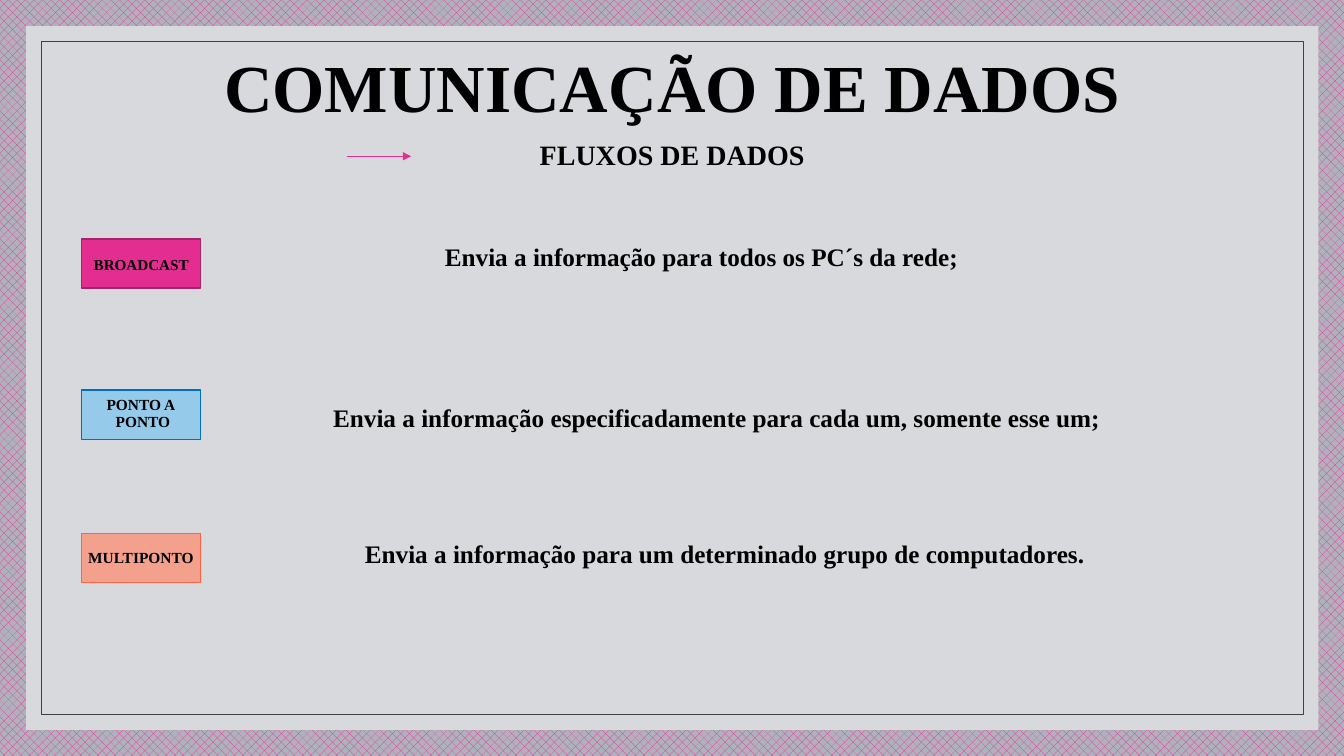
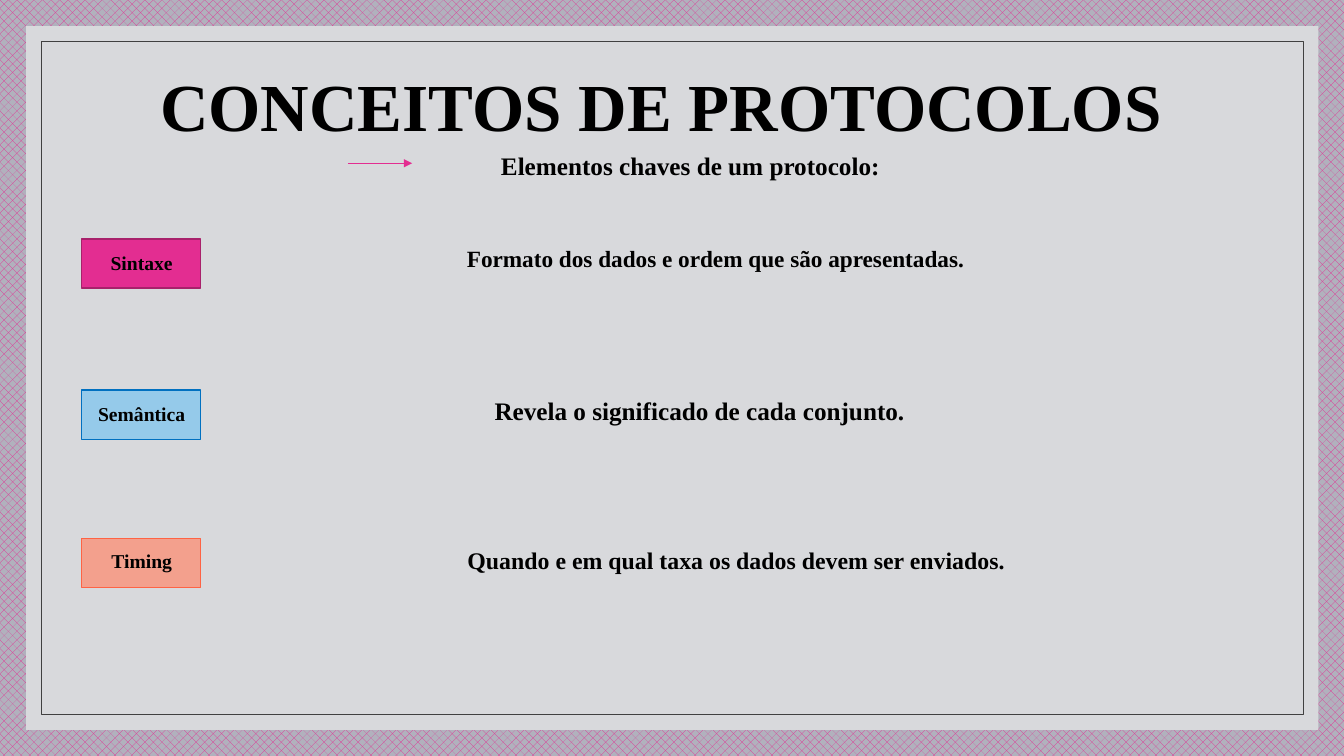
import pptx
import pptx.dml.color
import pptx.enum.dml
import pptx.enum.shapes
import pptx.enum.text
import pptx.oxml
import pptx.oxml.ns
import pptx.util

Pt = pptx.util.Pt
RGBColor = pptx.dml.color.RGBColor
ANCHOR = pptx.enum.text.MSO_ANCHOR
RECTANGLE = pptx.enum.shapes.MSO_SHAPE.RECTANGLE

BLACK = RGBColor(0x00, 0x00, 0x00)
PINK = RGBColor(0xE3, 0x2D, 0x91)
BACKDROP = RGBColor(0xB1, 0xB1, 0xBD)
PANEL = RGBColor(0xD8, 0xD9, 0xDC)
FRAME = RGBColor(0x40, 0x40, 0x40)
DARK_PINK = RGBColor(0xA8, 0x21, 0x6B)
LIGHT_BLUE = RGBColor(0x95, 0xCA, 0xEA)
BLUE = RGBColor(0x00, 0x70, 0xC0)
SALMON = RGBColor(0xF3, 0xA0, 0x8D)
ORANGE = RGBColor(0xFE, 0x63, 0x44)

FONT = "Times New Roman"
BOX_COLORS = ((PINK, DARK_PINK), (LIGHT_BLUE, BLUE), (SALMON, ORANGE))
BOX_LEFT, BOX_WIDTH, BOX_HEIGHT = 58.3, 85, 35.3
ARROW_LENGTH = 46


def place(sp, box):
    sp.left, sp.top, sp.width, sp.height = (Pt(v) for v in box)


def write(sp, text, size=18, anchor=ANCHOR.TOP, spacing=None, before=0):
    tf = sp.text_frame
    tf.word_wrap = True
    tf.auto_size = pptx.enum.text.MSO_AUTO_SIZE.NONE
    tf.vertical_anchor = anchor
    tf.text = text
    for p in tf.paragraphs:
        p.alignment = pptx.enum.text.PP_ALIGN.CENTER
        p.space_before = Pt(before)
        if spacing:
            p.line_spacing = spacing
        for r in p.runs:
            r.font.name = FONT
            r.font.size = Pt(size)
            r.font.bold = True
            r.font.color.rgb = BLACK


def add_text(slide, box, text, **style):
    sp = slide.shapes.add_textbox(*(Pt(v) for v in box))
    write(sp, text, **style)


def add_heading(slide, box, text):
    sp = slide.shapes.title
    place(sp, box)
    write(sp, text, size=48, anchor=ANCHOR.MIDDLE, spacing=0.9)


def add_body(slide, box, text, **style):
    sp = slide.placeholders[1]
    place(sp, box)
    write(sp, text, before=9, **style)
    for p in sp.text_frame.paragraphs:
        pPr = p._p.get_or_add_pPr()
        pPr.set("marL", "0")
        pPr.set("indent", "0")
        pPr.append(pptx.oxml.parse_xml(
            f'<a:buNone {pptx.oxml.ns.nsdecls("a")}/>'))


def add_rect(slide, box, fill=None, line=None, weight=1):
    sp = slide.shapes.add_shape(RECTANGLE, *(Pt(v) for v in box))
    sp.shadow.inherit = False
    if fill:
        sp.fill.solid()
        sp.fill.fore_color.rgb = fill
    else:
        sp.fill.background()
    if line:
        sp.line.color.rgb = line
        sp.line.width = Pt(weight)
    else:
        sp.line.fill.background()
    return sp


def add_boxes(slide, tops):
    for top, (fill, line) in zip(tops, BOX_COLORS):
        add_rect(slide, (BOX_LEFT, top, BOX_WIDTH, BOX_HEIGHT), fill, line)


def add_arrow(slide, x, y):
    cn = slide.shapes.add_connector(
        pptx.enum.shapes.MSO_CONNECTOR.STRAIGHT,
        Pt(x), Pt(y), Pt(x + ARROW_LENGTH), Pt(y))
    cn.line.color.rgb = PINK
    cn.line.width = Pt(0.5)
    ns = pptx.oxml.ns.nsdecls("a")
    cn.line._get_or_add_ln().append(
        pptx.oxml.parse_xml(f'<a:tailEnd {ns} type="triangle"/>'))
    cn.element.spPr.append(pptx.oxml.parse_xml(f"<a:effectLst {ns}/>"))


def style_master(prs, slide):
    master = prs.slide_master
    fill = master.background.fill
    fill.patterned()
    fill.pattern = pptx.enum.dml.MSO_PATTERN.from_xml("pct40")
    fill.fore_color.rgb = PINK
    fill.back_color.rgb = BACKDROP
    panel = add_rect(slide, (18.7, 18.7, 923, 502.6), fill=PANEL)
    frame = add_rect(slide, (29.5, 29.5, 901.4, 481), line=FRAME, weight=0.5)
    for i, sp in enumerate((panel, frame)):
        master.shapes.element.insert(2 + i, sp.element)


def build_data_flows(slide):
    add_heading(slide, (84.2, 10.8, 792, 108), "COMUNICAÇÃO DE DADOS")
    add_text(slide, (84.2, 57.6, 792, 108), "FLUXOS DE DADOS",
             size=20, anchor=ANCHOR.MIDDLE, spacing=0.9)
    add_arrow(slide, 247.7, 111.6)
    add_boxes(slide, (170.6, 278.6, 380.9))
    for box, text, size, spacing in (
            ((34.6, 181.4, 132.5, 18), "BROADCAST", 10.8, 0.7),
            ((23, 276.5, 155.5, 38.9), "PONTO A\n PONTO", 11, 0.9),
            ((23, 379.4, 155.5, 38.9), "MULTIPONTO", 11, 0.9)):
        add_text(slide, box, text, size=size, anchor=ANCHOR.MIDDLE,
                 spacing=spacing)
    add_body(slide, (105.1, 168.5, 792, 46.8),
             "Envia a informação para todos os PC´s da rede;")
    add_text(slide, (167, 283.7, 689.8, 46.8),
             "Envia a informação especificadamente para cada um, "
             "somente esse um;", before=9)
    add_text(slide, (172.8, 380.9, 689.8, 46.8),
             "Envia a informação para um determinado grupo de computadores.",
             before=9)


def build_protocol_concepts(slide):
    add_heading(slide, (76.3, 24.5, 792, 108), "CONCEITOS DE PROTOCOLOS")
    add_text(slide, (97.2, 103.7, 792, 46.8),
             "Elementos chaves de um protocolo:", before=9)
    add_arrow(slide, 248.4, 116.6)
    add_boxes(slide, (170.6, 278.6, 384.5))
    for top, text in ((168.5, "Sintaxe"), (275.8, "Semântica"),
                      (380.9, "Timing")):
        add_text(slide, (38.2, top, 126, 41), text, size=14,
                 anchor=ANCHOR.MIDDLE, spacing=0.9)
    add_body(slide, (178.6, 172.8, 664.6, 26.6),
             "Formato dos dados e ordem que são apresentadas.",
             size=16.6, spacing=0.9)
    add_text(slide, (136.8, 278.6, 725.8, 76.3),
             "Revela o significado de cada conjunto.", before=9)
    add_text(slide, (154.8, 386.6, 746.6, 134.6),
             "Quando e em qual taxa os dados devem ser enviados. ",
             size=17, before=9)


def main():
    prs = pptx.Presentation()
    prs.slide_width, prs.slide_height = Pt(960), Pt(540)
    layout = prs.slide_layouts[1]
    flows = prs.slides.add_slide(layout)
    concepts = prs.slides.add_slide(layout)
    style_master(prs, flows)
    build_data_flows(flows)
    build_protocol_concepts(concepts)
    prs.save("out.pptx")


if __name__ == "__main__":
    main()
